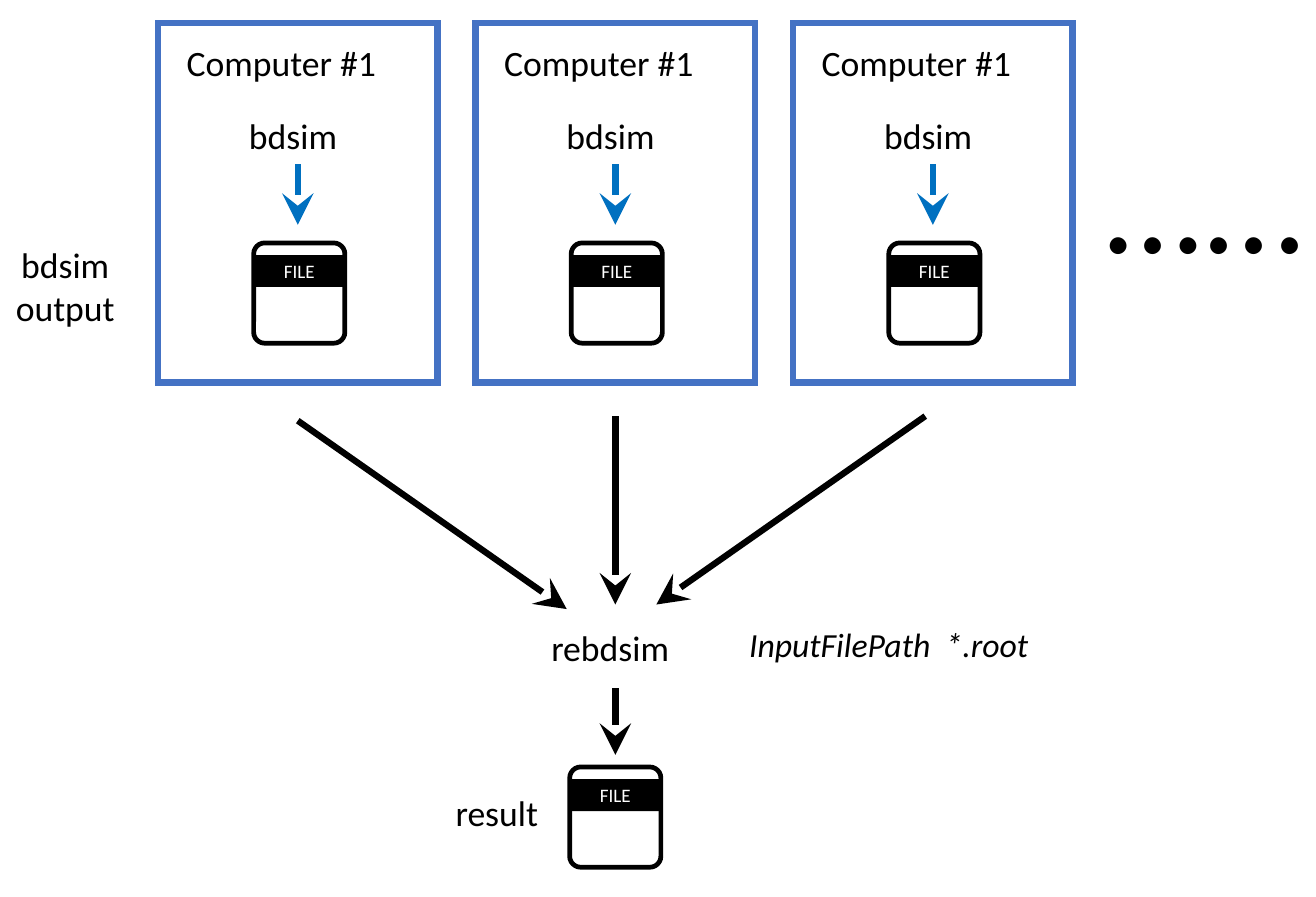
from dataclasses import dataclass

from lxml.etree import SubElement
from pptx import Presentation
from pptx.dml.color import RGBColor
from pptx.enum.shapes import MSO_CONNECTOR as Connector, MSO_SHAPE as Preset
from pptx.enum.text import MSO_ANCHOR as Anchor, MSO_AUTO_SIZE as AutoSize, PP_ALIGN as Align
from pptx.oxml.ns import qn
from pptx.shapes.autoshape import Shape
from pptx.shapes.shapetree import GroupShapes, SlideShapes
from pptx.util import Inches, Pt

Canvas = SlideShapes | GroupShapes


@dataclass(frozen=True)
class Theme:
    font: str = "Calibri"
    black: str = "000000"
    white: str = "FFFFFF"
    frame: str = "4472C4"
    blue: str = "0070C0"
    label_size: float = 16.9
    option_size: float = 16
    file_size: float = 9
    dots_size: float = 66
    heavy: float = 3
    outline: float = 2.25


@dataclass(frozen=True)
class Label:
    lines: tuple[str, ...]
    left: float
    top: float
    width: float
    height: float
    size: float
    align: Align = Align.LEFT
    italic: bool = False


@dataclass(frozen=True)
class Arrow:
    start: tuple[float, float]
    end: tuple[float, float]
    color: str


THEME = Theme()
CM_PER_INCH = 2.54
PAGE_WIDTH = 22 / CM_PER_INCH
PAGE_HEIGHT = 15 / CM_PER_INCH
COMPUTER_LEFT = 1.04
COMPUTER_PITCH = 2.09
COMPUTER_COUNT = 3
COMPUTER_NAME = "Computer #1"
CENTER = 4.05

DOTS = Label(("…...",), 7.18, 0.7, 1.54, 1.21, THEME.dots_size)
LABELS = (
    Label(("rebdsim",), 3.53, 4.07, 0.98, 0.39, THEME.label_size),
    Label(("result",), 2.9, 5.16, 0.75, 0.39, THEME.label_size),
    Label(("bdsim", "output"), 0, 1.55, 0.86, 0.67, THEME.label_size, Align.CENTER),
    Label(("InputFilePath  *.root",), 4.82, 4.06, 2.06, 0.37, THEME.option_size, Align.CENTER, True),
)
ARROWS = (
    Arrow((CENTER, 2.74), (CENTER, 3.98), THEME.black),
    Arrow((6.09, 2.74), (4.32, 3.98), THEME.black),
    Arrow((1.96, 2.77), (3.73, 4.01), THEME.black),
    Arrow((CENTER, 4.53), (CENTER, 4.97), THEME.black),
)


def add_lines(shape: Shape, lines: tuple[str, ...], size: float, color: str,
              align: Align, italic: bool = False) -> None:
    frame = shape.text_frame
    for index, line in enumerate(lines):
        para = frame.add_paragraph() if index else frame.paragraphs[0]
        para.alignment = align
        span = para.add_run()
        span.text = line
        span.font.name = THEME.font
        span.font.size = Pt(size)
        span.font.italic = italic
        span.font.color.rgb = RGBColor.from_string(color)


def write_label(box: Shape, label: Label) -> None:
    box.text_frame.word_wrap = False
    box.text_frame.auto_size = AutoSize.SHAPE_TO_FIT_TEXT
    box.text_frame.vertical_anchor = Anchor.TOP
    add_lines(box, label.lines, label.size, THEME.black, label.align, label.italic)


def add_label(canvas: Canvas, label: Label) -> None:
    box = canvas.add_textbox(Inches(label.left), Inches(label.top),
                             Inches(label.width), Inches(label.height))
    write_label(box, label)


def add_filled_label(canvas: Canvas, label: Label) -> None:
    box = add_box(canvas, Preset.RECTANGLE, label.left, label.top,
                  label.width, label.height, THEME.white)
    write_label(box, label)


def add_box(canvas: Canvas, preset: Preset, left: float, top: float, width: float,
            height: float, fill: str, line: str | None = None, weight: float = 0) -> Shape:
    box = canvas.add_shape(preset, Inches(left), Inches(top), Inches(width), Inches(height))
    box.shadow.inherit = False
    box.fill.solid()
    box.fill.fore_color.rgb = RGBColor.from_string(fill)
    if line:
        box.line.color.rgb = RGBColor.from_string(line)
        box.line.width = Pt(weight)
        SubElement(box.line._get_or_add_ln(), qn("a:miter"), lim="800000")
    else:
        box.line.fill.background()
    return box


def add_arrow(canvas: Canvas, arrow: Arrow) -> None:
    connector = canvas.add_connector(Connector.STRAIGHT, *map(Inches, arrow.start + arrow.end))
    connector.line.color.rgb = RGBColor.from_string(arrow.color)
    connector.line.width = Pt(THEME.heavy)
    SubElement(connector.line._get_or_add_ln(), qn("a:tailEnd"), type="stealth", w="lg", len="lg")
    SubElement(connector._element.spPr, qn("a:effectLst"))


def add_file(canvas: Canvas, left: float, top: float) -> None:
    sheet = add_box(canvas, Preset.ROUNDED_RECTANGLE, left, top, 0.6, 0.66,
                    THEME.white, THEME.black, THEME.outline)
    sheet.adjustments[0] = 0.12
    band = add_box(canvas, Preset.RECTANGLE, left, top + 0.08, 0.6, 0.21, THEME.black)
    band.text_frame.vertical_anchor = Anchor.MIDDLE
    add_lines(band, ("FILE",), THEME.file_size, THEME.white, Align.CENTER)


def add_computer(canvas: Canvas, left: float) -> None:
    add_box(canvas, Preset.RECTANGLE, left, 0.15, 1.84, 2.37,
            THEME.white, THEME.frame, THEME.heavy)
    add_label(canvas, Label((COMPUTER_NAME,), left + 0.09, 0.22, 1.46, 0.39, THEME.label_size))
    middle = left + 0.92
    add_arrow(canvas, Arrow((middle, 1.08), (middle, 1.48), THEME.blue))
    add_label(canvas, Label(("bdsim",), left + 0.5, 0.7, 0.79, 0.39, THEME.label_size))
    add_file(canvas, left + 0.63, 1.6)


def main() -> None:
    deck = Presentation()
    deck.slide_width = Inches(PAGE_WIDTH)
    deck.slide_height = Inches(PAGE_HEIGHT)
    page = deck.slides.add_slide(deck.slide_layouts[6])
    add_label(page.shapes, DOTS)
    for index in range(COMPUTER_COUNT):
        computer = page.shapes.add_group_shape()
        add_computer(computer.shapes, COMPUTER_LEFT + index * COMPUTER_PITCH)
    for arrow in ARROWS:
        add_arrow(page.shapes, arrow)
    for label in LABELS:
        add_filled_label(page.shapes, label)
    result = page.shapes.add_group_shape()
    add_file(result.shapes, CENTER - 0.3, 5.05)
    deck.save("out.pptx")


if __name__ == "__main__":
    main()
